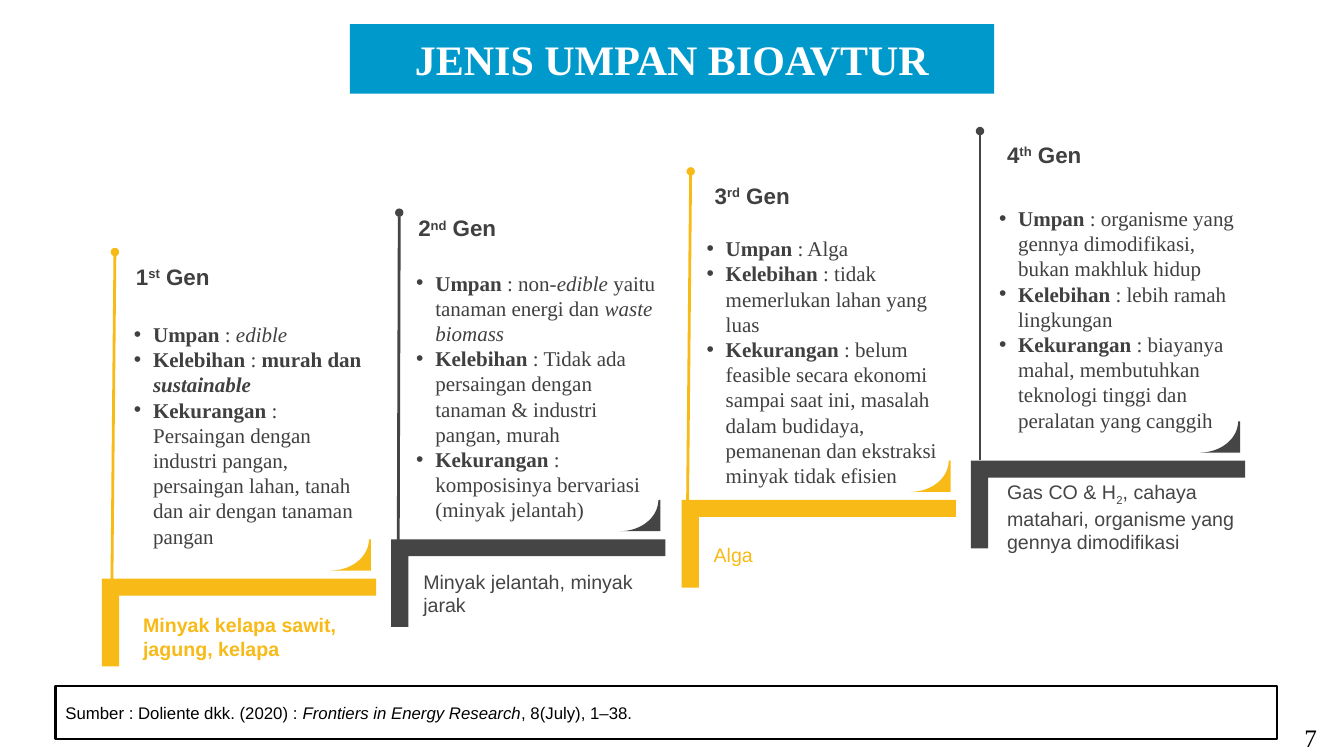
from dataclasses import dataclass
from math import cos, pi, sin
from typing import NamedTuple

from lxml.etree import SubElement
from pptx import Presentation
from pptx.dml.color import RGBColor
from pptx.enum.shapes import MSO_CONNECTOR, MSO_SHAPE
from pptx.enum.text import MSO_ANCHOR, MSO_AUTO_SIZE, PP_ALIGN
from pptx.oxml.ns import qn
from pptx.util import Emu, Pt


@dataclass(frozen=True)
class Theme:
    yellow: str = "F8BA16"
    dark: str = "454545"
    ink: str = "404040"
    blue: str = "0099CC"
    white: str = "FFFFFF"
    black: str = "000000"
    sans: str = "Arial"
    serif: str = "Times New Roman"
    title: int = 30
    number: int = 18
    heading: int = 16
    body: int = 15
    feed: int = 14
    source: int = 12


THEME = Theme()
BASELINES = {"sup": "30000", "sub": "-25000"}
BULLET_INDENT = 19


class Box(NamedTuple):
    x: int
    y: int
    w: int
    h: int


class Run(NamedTuple):
    text: str
    bold: bool = False
    italic: bool = False
    base: str = ""


Paragraph = list[Run]


class Stem(NamedTuple):
    x1: int
    y1: int
    x2: int
    y2: int


@dataclass(frozen=True)
class Generation:
    color: str
    number: str
    suffix: str
    heading_box: Box
    body: list[Paragraph]
    body_box: Box
    feed: Paragraph
    feed_box: Box
    stem: Stem


def point(label: str, *rest: Run) -> Paragraph:
    return [Run(label, bold=True), *rest]


GENERATIONS = [
    Generation(
        THEME.yellow, "1", "st", Box(125, 256, 245, 37),
        [point("Umpan", Run(" : "), Run("edible", italic=True)),
         point("Kelebihan", Run(" : "), Run("murah dan ", True), Run("sustainable", True, True)),
         point("Kekurangan", Run(" : Persaingan dengan industri pangan, persaingan lahan, "
                                 "tanah dan air dengan tanaman pangan"))],
        Box(123, 314, 258, 237),
        [Run("Minyak kelapa sawit, jagung, kelapa", bold=True)], Box(132, 603, 235, 57),
        Stem(111, 578, 114, 250)),
    Generation(
        THEME.dark, "2", "nd", Box(405, 208, 251, 37),
        [point("Umpan", Run(" : non-"), Run("edible ", italic=True),
               Run("yaitu tanaman energi dan "), Run("waste biomass", italic=True)),
         point("Kelebihan", Run(" : Tidak ada persaingan dengan tanaman & industri pangan, murah")),
         point("Kekurangan", Run(" : komposisinya bervariasi (minyak jelantah)"))],
        Box(403, 263, 266, 263),
        [Run("Minyak jelantah, minyak jarak")], Box(410, 560, 240, 57),
        Stem(395, 540, 396, 211)),
    Generation(
        THEME.yellow, "3", "rd", Box(699, 176, 250, 37),
        [point("Umpan", Run(" : Alga")),
         point("Kelebihan", Run(" : tidak memerlukan lahan yang luas")),
         point("Kekurangan", Run(" : belum feasible secara ekonomi sampai saat ini, masalah dalam "
                                 "budidaya, pemanenan dan ekstraksi minyak tidak efisien"))],
        Box(691, 229, 257, 263),
        [Run("Alga")], Box(698, 533, 250, 34),
        Stem(682, 496, 685, 170)),
    Generation(
        THEME.dark, "4", "th", Box(989, 135, 254, 37),
        [point("Umpan", Run(" : organisme yang gennya dimodifikasi, bukan makhluk hidup")),
         point("Kelebihan", Run(" : lebih ramah lingkungan")),
         point("Kekurangan", Run(" : biayanya mahal, membutuhkan teknologi tinggi dan "
                                 "peralatan yang canggih"))],
        Box(981, 199, 261, 237),
        [Run("Gas CO & H"), Run("2", base="sub"),
         Run(", cahaya matahari, organisme yang gennya dimodifikasi")], Box(989, 472, 246, 81),
        Stem(972, 456, 972, 130)),
]


def px(n: float) -> Emu:
    """Convert px, at 100 to the inch, into EMU."""
    return Emu(round(n * 9144))


def rgb(color: str) -> RGBColor:
    return RGBColor.from_string(color)


def write(sp, paragraphs: list[Paragraph], *, size: int, font: str, color: str,
          anchor=MSO_ANCHOR.TOP, align=PP_ALIGN.LEFT, bullets: bool = False) -> None:
    tf = sp.text_frame
    tf.word_wrap = True
    tf.vertical_anchor = anchor
    for i, runs in enumerate(paragraphs):
        p = tf.add_paragraph() if i else tf.paragraphs[0]
        p.alignment = align
        if bullets:
            pPr = p._p.get_or_add_pPr()
            pPr.set("marL", str(px(BULLET_INDENT)))
            pPr.set("indent", str(px(-BULLET_INDENT)))
            SubElement(pPr, qn("a:buFont")).set("typeface", THEME.sans)
            SubElement(pPr, qn("a:buChar")).set("char", "•")
        for run in runs:
            r = p.add_run()
            r.text = run.text
            r.font.size, r.font.name = Pt(size), font
            r.font.bold, r.font.italic = run.bold, run.italic
            r.font.color.rgb = rgb(color)
            if run.base:
                r._r.get_or_add_rPr().set("baseline", BASELINES[run.base])


def paint(sp, fill: str = "", line: str = "") -> None:
    sp.shadow.inherit = False
    if fill:
        sp.fill.solid()
        sp.fill.fore_color.rgb = rgb(fill)
    else:
        sp.fill.background()
    if line:
        sp.line.color.rgb = rgb(line)
        sp.line.width = Pt(1.5)
    else:
        sp.line.fill.background()


def add_box(s, box: Box, kind=MSO_SHAPE.RECTANGLE, fill: str = "", line: str = ""):
    sp = s.shapes.add_shape(kind, *map(px, box))
    paint(sp, fill, line)
    return sp


def add_text(s, box: Box, paragraphs: list[Paragraph], **style) -> None:
    sp = s.shapes.add_textbox(*map(px, box))
    write(sp, paragraphs, **style)
    sp.text_frame.auto_size = MSO_AUTO_SIZE.SHAPE_TO_FIT_TEXT


def add_step(s, x: int, y: int, color: str) -> None:
    """Draw the angle bar, with its long arm on top."""
    sp = add_box(s, Box(x, y, 272, 87), MSO_SHAPE.CORNER, color)
    sp.adjustments[0], sp.adjustments[1] = 0.193, 0.196
    sp.rotation = 180
    sp._element.spPr.find(qn("a:xfrm")).set("flipH", "1")


def add_fin(s, x: int, y: int, color: str) -> None:
    """Draw the curved corner: a quarter ellipse cut out of a rectangle."""
    steps = 24
    angles = [pi / 2 * i / steps for i in range(steps + 1)]
    curve = [(px(x + 38 * sin(a)), px(y + 31 * cos(a))) for a in angles]
    builder = s.shapes.build_freeform(*curve[0], scale=1.0)
    builder.add_line_segments(curve[1:] + [(px(x + 40), px(y)), (px(x + 40), px(y + 31))])
    paint(builder.convert_to_shape(), color)


def add_stem(s, stem: Stem, color: str) -> None:
    line = s.shapes.add_connector(MSO_CONNECTOR.STRAIGHT, *map(px, stem))
    line.line.color.rgb = rgb(color)
    line.line.width = Pt(2)
    spPr = line._element.spPr
    SubElement(spPr.find(qn("a:ln")), qn("a:tailEnd")).set("type", "oval")
    SubElement(spPr, qn("a:effectLst"))


def add_generation(s, index: int, gen: Generation) -> None:
    x, y = 101 + round(index * 862 / 3), 574 - index * 39
    add_step(s, x, y, gen.color)
    add_fin(s, x + 227, y - 39, gen.color)
    add_text(s, gen.feed_box, [gen.feed], size=THEME.feed, font=THEME.sans,
             color=gen.color, anchor=MSO_ANCHOR.MIDDLE)
    add_stem(s, gen.stem, gen.color)
    add_text(s, gen.body_box, gen.body, size=THEME.body, font=THEME.serif,
             color=THEME.ink, bullets=True)
    heading = [Run(gen.number, True), Run(gen.suffix, True, base="sup"), Run(" Gen", True)]
    add_text(s, gen.heading_box, [heading], size=THEME.heading, font=THEME.sans, color=THEME.ink)


def main() -> None:
    prs = Presentation()
    prs.slide_width, prs.slide_height = px(1333), px(750)
    s = prs.slides.add_slide(prs.slide_layouts[6])
    for index, gen in enumerate(GENERATIONS):
        add_generation(s, index, gen)
    middle = MSO_ANCHOR.MIDDLE
    for box, fill, text, bold, size, color in (
            (Box(347, 24, 639, 69), THEME.blue, "JENIS UMPAN BIOAVTUR", True, THEME.title, THEME.white),
            (Box(1267, 714, 66, 36), THEME.white, "7", False, THEME.number, THEME.black)):
        write(add_box(s, box, fill=fill), [[Run(text, bold)]], size=size, font=THEME.serif,
              color=color, anchor=middle, align=PP_ALIGN.CENTER)
    source = [Run("Sumber : Doliente dkk. (2020) : "),
              Run("Frontiers in Energy Research", italic=True), Run(", 8(July), 1–38.")]
    write(add_box(s, Box(55, 681, 1212, 52), line=THEME.black), [source],
          size=THEME.source, font=THEME.sans, color=THEME.black, anchor=middle)
    prs.save("out.pptx")


if __name__ == "__main__":
    main()
